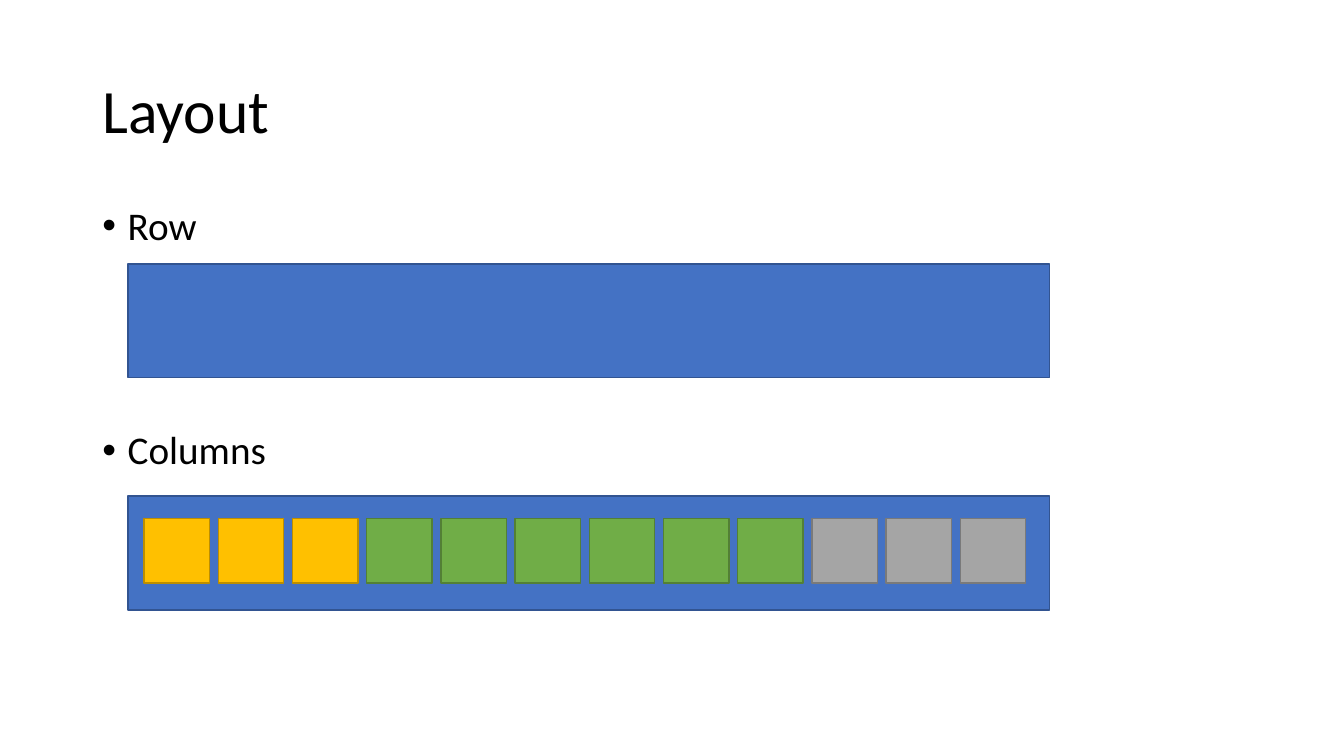
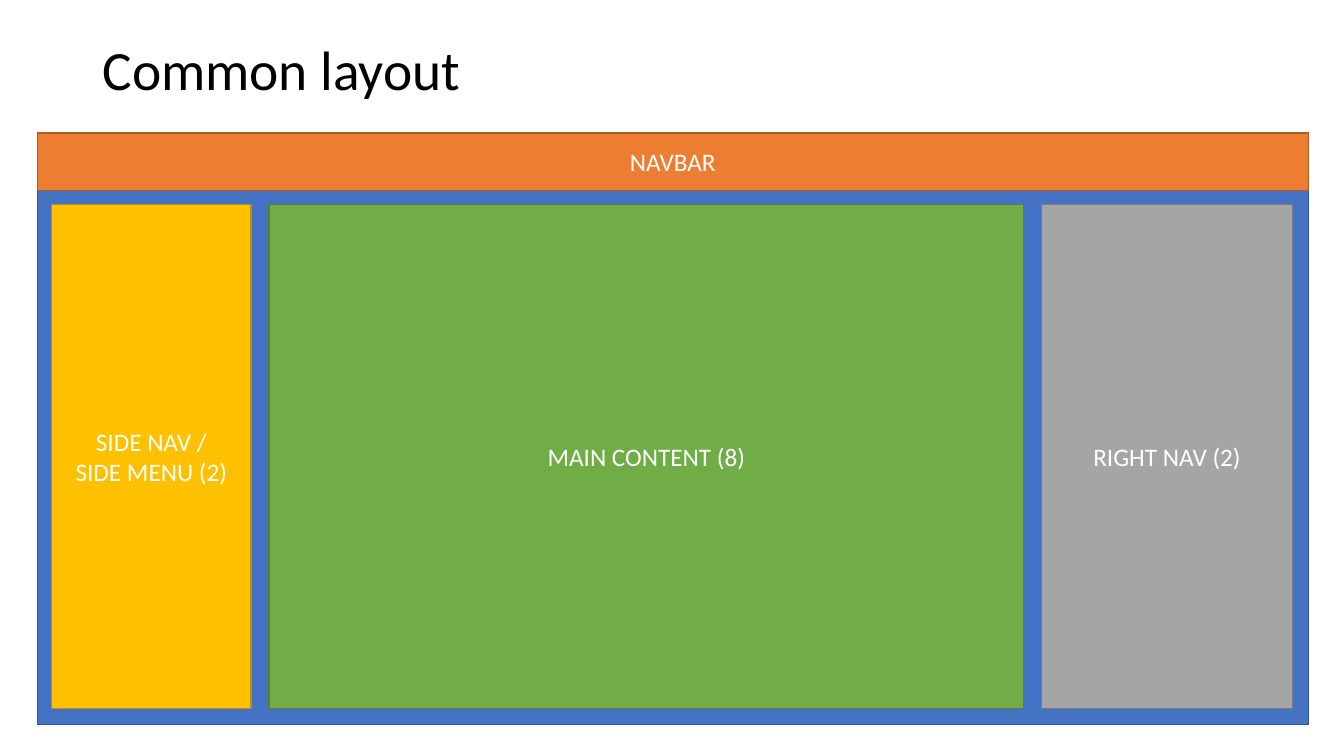
from dataclasses import dataclass
from lxml.etree import SubElement
from pptx import Presentation
from pptx.dml.color import RGBColor
from pptx.enum.shapes import MSO_SHAPE
from pptx.enum.text import MSO_ANCHOR, MSO_AUTO_SIZE, PP_ALIGN
from pptx.oxml.ns import qn
from pptx.util import Cm, Pt


@dataclass(frozen=True)
class Theme:
    font: str = "Calibri"
    ink: str = "000000"
    paper: str = "FFFFFF"
    blue: tuple = ("4472C4", "325491")
    orange: tuple = ("ED7D31", "AF5C24")
    gold: tuple = ("FFC000", "BD8E00")
    green: tuple = ("70AD47", "538035")
    gray: tuple = ("A5A5A5", "7A7A7A")
    title: float = 44
    small: float = 39.6
    body: float = 28
    label: float = 18


theme = Theme()
left, wide = 2.33, 29.21

points = [("Row", 0), ("Columns", 130)]
bars = [6.65, 12.5]
tiles = [(theme.gold, 3), (theme.green, 6), (theme.gray, 3)]

frame = (0.94, 3.35, 32.03, 14.91)
navbar = "NAVBAR"
panes = [
    ("SIDE NAV /\nSIDE MENU (2)", 5.03, theme.gold),
    ("MAIN CONTENT (8)", 19.02, theme.green),
    ("RIGHT NAV (2)", 6.32, theme.gray),
]


def style(text, size, color, align):
    for para in text.paragraphs:
        para.alignment = align
        for run in para.runs:
            run.font.name = theme.font
            run.font.size = Pt(size)
            run.font.color.rgb = RGBColor.from_string(color)


def page(deck, name, height, size):
    slide = deck.slides.add_slide(deck.slide_layouts[5])
    head = slide.shapes.title
    head.left, head.top, head.width, head.height = map(Cm, (left, 1.01, wide, height))
    text = head.text_frame
    text.text = name
    text.auto_size = MSO_AUTO_SIZE.NONE
    text.vertical_anchor = MSO_ANCHOR.MIDDLE
    text.paragraphs[0].line_spacing = 0.9
    style(text, size, theme.ink, PP_ALIGN.LEFT)
    return slide


def box(slide, area, paint, label=""):
    shape = slide.shapes.add_shape(MSO_SHAPE.RECTANGLE, *map(Cm, area))
    fill, edge = paint
    shape.shadow.inherit = False
    shape.fill.solid()
    shape.fill.fore_color.rgb = RGBColor.from_string(fill)
    shape.line.color.rgb = RGBColor.from_string(edge)
    shape.line.width = Pt(1)
    if label:
        text = shape.text_frame
        text.text = label
        text.word_wrap = True
        text.vertical_anchor = MSO_ANCHOR.MIDDLE
        style(text, theme.label, theme.paper, PP_ALIGN.CENTER)


def bullets(slide, items, area):
    text = slide.shapes.add_textbox(*map(Cm, area)).text_frame
    text.word_wrap = True
    text.text = "\n".join(name for name, gap in items)
    style(text, theme.body, theme.ink, PP_ALIGN.LEFT)
    for para, (name, gap) in zip(text.paragraphs, items):
        para.line_spacing = 0.9
        para.space_before = Pt(gap)
        props = para._p.get_or_add_pPr()
        props.set("marL", str(Cm(0.64)))
        props.set("indent", str(-Cm(0.64)))
        SubElement(props, qn("a:buFont"), typeface="Arial")
        SubElement(props, qn("a:buChar"), char="•")


def grid(deck):
    slide = page(deck, "Layout", 3.68, theme.title)
    bullets(slide, points, (left, 5.08, wide, 12.09))
    for top in bars:
        box(slide, (3.23, top, 23.22, 2.87), theme.blue)
    paints = [paint for paint, count in tiles for _ in range(count)]
    for col, paint in enumerate(paints):
        box(slide, (3.63 + col * 1.87, 13.06, 1.65, 1.63), paint)


def common(deck):
    slide = page(deck, "Common layout", 1.65, theme.small)
    x, y, width, height = frame
    nav, pad, gap = 1.45, 0.36, 0.45
    box(slide, frame, theme.blue)
    box(slide, (x, y, width, nav), theme.orange, navbar)
    top = y + nav + pad
    tall = y + height - pad - top - 0.04
    x += pad
    for label, span, paint in panes:
        box(slide, (x, top, span, tall), paint, label)
        x += span + gap


deck = Presentation()
deck.slide_width, deck.slide_height = Cm(33.87), Cm(19.05)
grid(deck)
common(deck)
deck.save("out.pptx")
